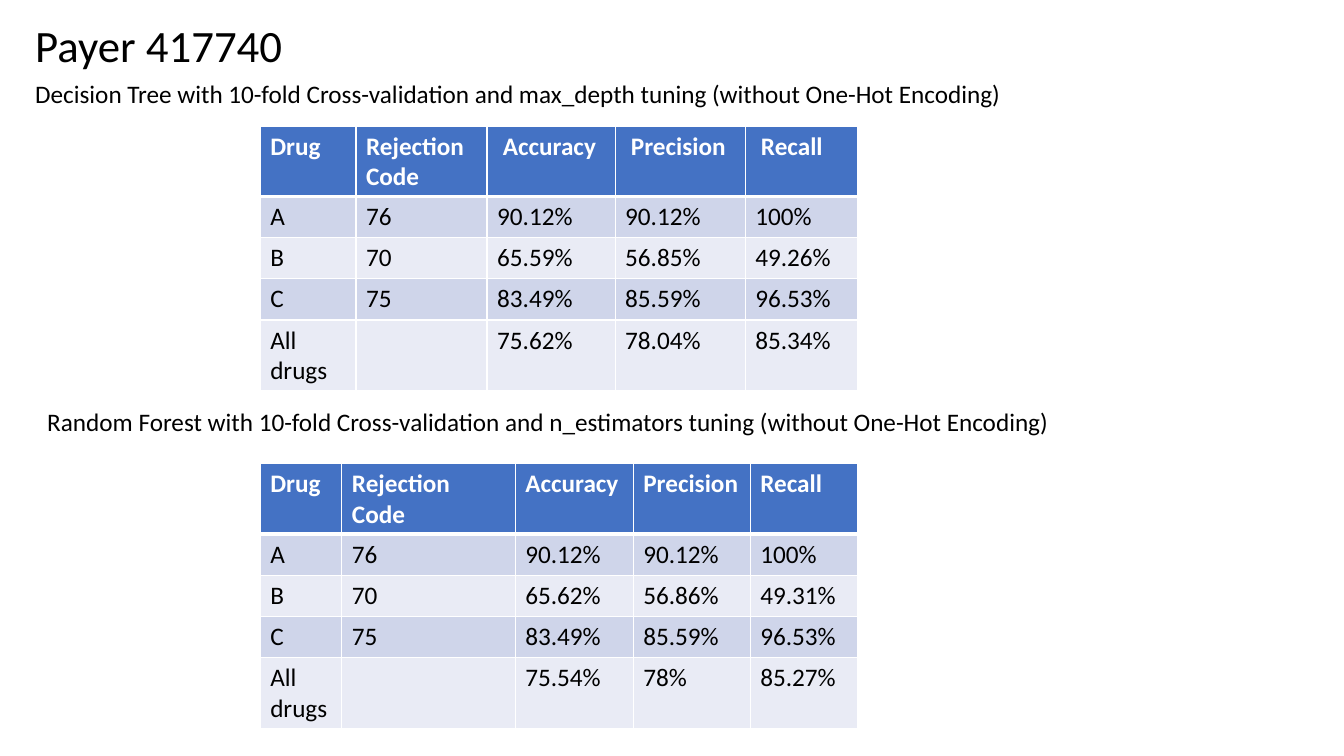
from dataclasses import dataclass

from lxml.etree import SubElement
from pptx import Presentation
from pptx.dml.color import RGBColor
from pptx.enum.text import MSO_AUTO_SIZE as AutoSize
from pptx.oxml.ns import qn
from pptx.util import Inches, Pt

WHITE = RGBColor(0xFF, 0xFF, 0xFF)
BLACK = RGBColor(0x00, 0x00, 0x00)
HEADER_BLUE = RGBColor(0x44, 0x72, 0xC4)
BAND_DARK = RGBColor(0xCF, 0xD5, 0xEA)
BAND_LIGHT = RGBColor(0xE9, 0xEB, 0xF5)
FONT = "Calibri"
BODY_SIZE = 18
TALL_ROW, SHORT_ROW = 9.33, 5.44

deck = Presentation()
deck.slide_width, deck.slide_height = Inches(13.33), Inches(7.5)
page = deck.slides.add_slide(deck.slide_layouts[6])


@dataclass
class Label:
    text: str
    left: float
    top: float
    width: float
    height: float
    size: int = BODY_SIZE
    wrap: bool = True


@dataclass
class ResultTable:
    top: float
    columns: list[float]
    rows: list[list[str]]
    left: float = 19.36


def across(percent: float) -> int:
    return round(deck.slide_width * percent / 100)


def down(percent: float) -> int:
    return round(deck.slide_height * percent / 100)


def style_text(frame, size: int, color: RGBColor, bold: bool = False) -> None:
    for para in frame.paragraphs:
        for span in para.runs:
            font = span.font
            font.name, font.size, font.bold = FONT, Pt(size), bold
            font.color.rgb = color


def draw_label(label: Label) -> None:
    box = page.shapes.add_textbox(across(label.left), down(label.top),
                                  across(label.width), down(label.height))
    frame = box.text_frame
    frame.text = label.text
    frame.word_wrap = label.wrap
    frame.auto_size = AutoSize.SHAPE_TO_FIT_TEXT
    style_text(frame, label.size, BLACK)


def draw_borders(cell, top: int, bottom: int) -> None:
    properties = cell._tc.get_or_add_tcPr()
    for side, points in {"L": 1, "R": 1, "T": top, "B": bottom}.items():
        line = SubElement(properties, qn(f"a:ln{side}"), w=str(Pt(points)))
        fill = SubElement(line, qn("a:solidFill"))
        SubElement(fill, qn("a:srgbClr"), val=str(WHITE))


def draw_table(result: ResultTable) -> None:
    last = len(result.rows) - 1
    heights = [TALL_ROW if i in (0, last) else SHORT_ROW for i in range(last + 1)]
    table = page.shapes.add_table(
        len(heights), len(result.columns), across(result.left), down(result.top),
        across(sum(result.columns)), down(sum(heights))).table
    for column, width in zip(table.columns, result.columns):
        column.width = across(width)
    for i, (row, height, values) in enumerate(zip(table.rows, heights, result.rows)):
        row.height = down(height)
        header = i == 0
        band = HEADER_BLUE if header else BAND_DARK if i % 2 else BAND_LIGHT
        for cell, value in zip(row.cells, values):
            draw_borders(cell, 3 if i == 1 else 1, 3 if header else 1)
            cell.fill.solid()
            cell.fill.fore_color.rgb = band
            cell.text_frame.text = value
            style_text(cell.text_frame, BODY_SIZE, WHITE if header else BLACK, header)


LABELS = [
    Label("Payer 417740", 1.88, 1.73, 20.4, 8.53, size=32),
    Label("Decision Tree with 10-fold Cross-validation and max_depth tuning "
          "(without One-Hot Encoding)", 1.88, 9.73, 84, 5.33),
    Label("Random Forest with 10-fold Cross-validation and n_estimators tuning "
          "(without One-Hot Encoding)", 2.78, 53.07, 76.37, 5.33, wrap=False),
]

TABLES = [
    ResultTable(16.67, [7.13, 9.75, 9.53, 9.68, 8.33], [
        ["Drug", "Rejection Code", " Accuracy", " Precision", " Recall"],
        ["A", "76", "90.12%", "90.12%", "100%"],
        ["B", "70", "65.59%", "56.85%", "49.26%"],
        ["C", "75", "83.49%", "85.59%", "96.53%"],
        ["All drugs", "", "75.62%", "78.04%", "85.34%"],
    ]),
    ResultTable(61.33, [6.08, 12.9, 8.78, 8.71, 7.95], [
        ["Drug", "Rejection Code", "Accuracy", "Precision", "Recall"],
        ["A", "76", "90.12%", "90.12%", "100%"],
        ["B", "70", "65.62%", "56.86%", "49.31%"],
        ["C", "75", "83.49%", "85.59%", "96.53%"],
        ["All drugs", "", "75.54%", "78%", "85.27%"],
    ]),
]

for label in LABELS:
    draw_label(label)
for result in TABLES:
    draw_table(result)

deck.save("out.pptx")
